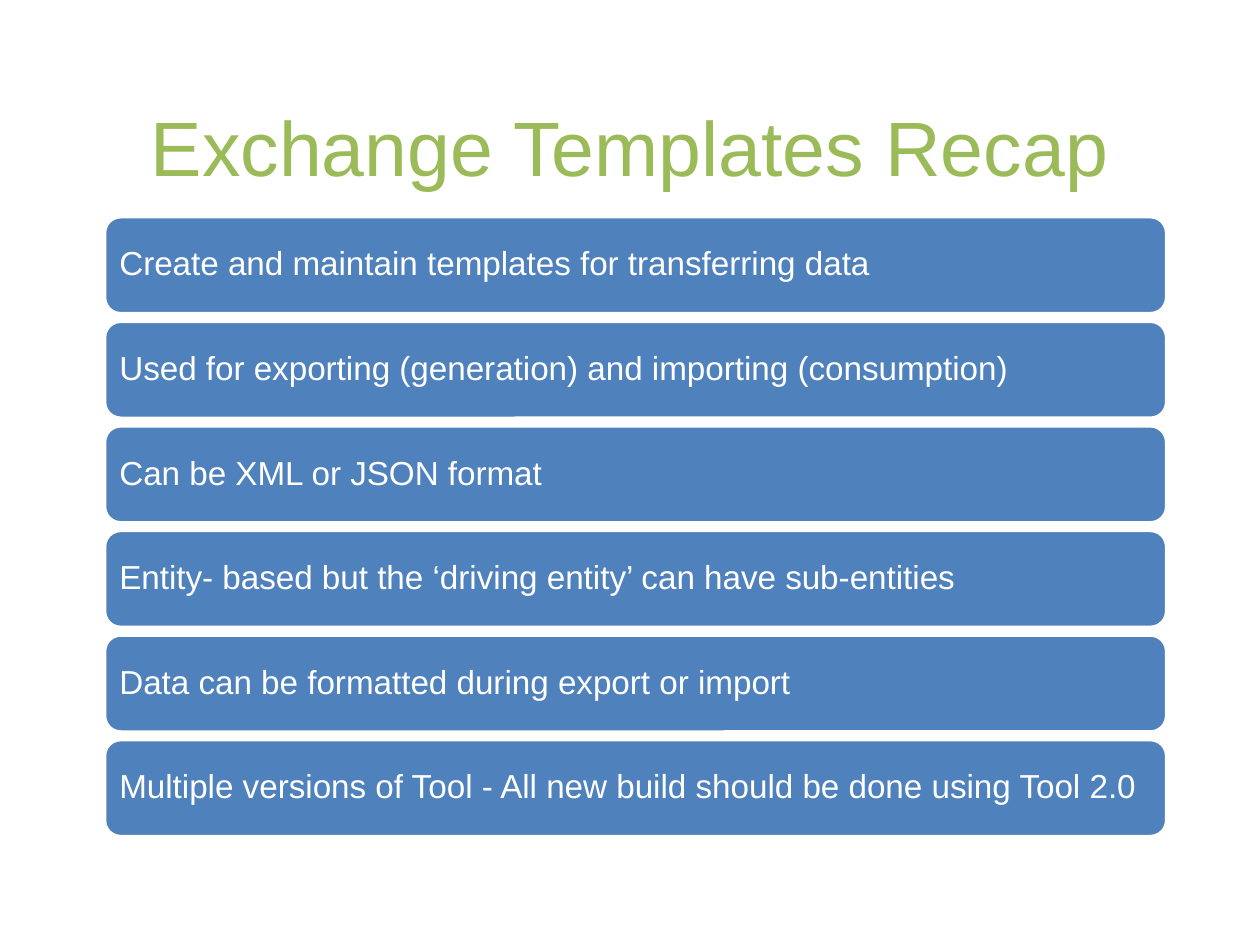
from dataclasses import dataclass

from pptx import Presentation
from pptx.dml.color import RGBColor
from pptx.enum.shapes import MSO_SHAPE
from pptx.enum.text import MSO_ANCHOR, PP_ALIGN
from pptx.util import Inches, Pt

COLOURS = {"title": "9BBB59", "bar": "4F81BD", "white": "FFFFFF"}
FONT = "Arial"
POINTS = [
    "Create and maintain templates for transferring data",
    "Used for exporting (generation) and importing (consumption)",
    "Can be XML or JSON format",
    "Entity- based but the ‘driving entity’ can have sub-entities",
    "Data can be formatted during export or import",
    "Multiple versions of Tool - All new build should be done using Tool 2.0",
]


@dataclass(frozen=True)
class BarGrid:
    left: float = 0.83
    top: float = 1.72
    width: float = 8.43
    height: float = 0.77
    pitch: float = 0.83

    def row_top(self, row: int) -> float:
        return self.top + row * self.pitch


def colour(name: str) -> RGBColor:
    return RGBColor.from_string(COLOURS[name])


def write_text(box, text: str, *, size: float, ink: str, align: PP_ALIGN,
               inset: tuple[float, float] = (0.1, 0.05), spacing: float = 1.0) -> None:
    frame = box.text_frame
    frame.word_wrap = True
    frame.vertical_anchor = MSO_ANCHOR.MIDDLE
    frame.margin_left = frame.margin_right = Inches(inset[0])
    frame.margin_top = frame.margin_bottom = Inches(inset[1])
    para = frame.paragraphs[0]
    para.alignment = align
    para.line_spacing = spacing
    span = para.add_run()
    span.text = text
    span.font.name = FONT
    span.font.size = Pt(size)
    span.font.color.rgb = colour(ink)


def draw_bar(page, grid: BarGrid, row: int, text: str) -> None:
    bar = page.shapes.add_shape(
        MSO_SHAPE.ROUNDED_RECTANGLE, Inches(grid.left), Inches(grid.row_top(row)),
        Inches(grid.width), Inches(grid.height))
    bar.shadow.inherit = False
    bar.fill.solid()
    bar.fill.fore_color.rgb = colour("bar")
    bar.line.color.rgb = colour("white")
    bar.line.width = Pt(2)
    write_text(bar, text, size=19, ink="white", align=PP_ALIGN.LEFT,
               inset=(0.08, 0.08), spacing=0.9)


def main() -> None:
    deck = Presentation()
    deck.slide_width, deck.slide_height = Inches(10), Inches(7.5)
    page = deck.slides.add_slide(deck.slide_layouts.get_by_name("Title Only"))
    title = page.shapes.title
    title.left, title.top = Inches(0.5), Inches(0.53)
    title.width, title.height = Inches(9), Inches(1.25)
    write_text(title, "Exchange Templates Recap", size=44, ink="title",
               align=PP_ALIGN.CENTER)
    grid = BarGrid()
    for row, text in enumerate(POINTS):
        draw_bar(page, grid, row, text)
    deck.save("out.pptx")


if __name__ == "__main__":
    main()
